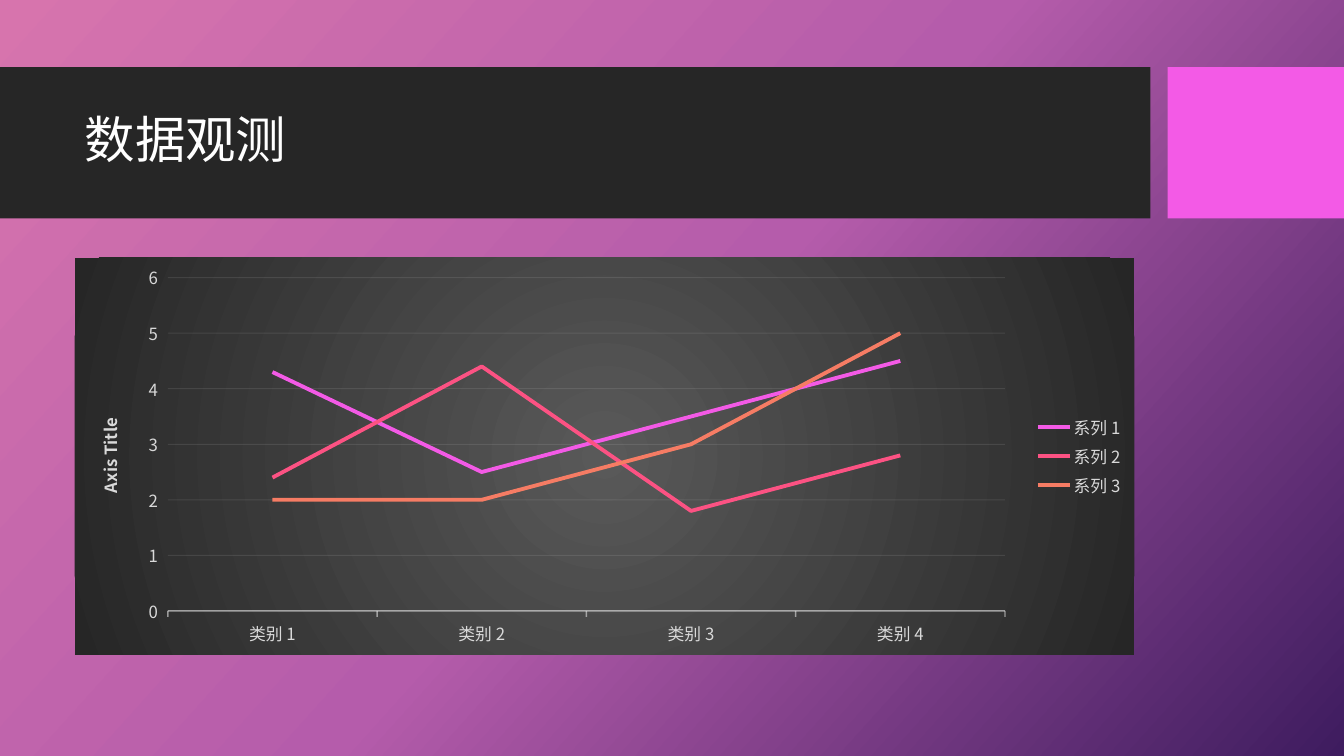
from lxml.etree import SubElement
from pptx import Presentation
from pptx.chart.data import CategoryChartData
from pptx.dml.color import RGBColor
from pptx.enum.chart import XL_CHART_TYPE, XL_LEGEND_POSITION, XL_TICK_MARK
from pptx.enum.shapes import MSO_SHAPE
from pptx.enum.text import MSO_ANCHOR, PP_ALIGN
from pptx.oxml import parse_xml
from pptx.oxml.ns import nsdecls, qn
from pptx.util import Inches, Pt

SLIDE_W, SLIDE_H = Inches(13.33), Inches(7.5)
FONT = "Noto Sans CJK SC"
COLORS = {
    "white": "FFFFFF", "band": "262626", "accent": "F35AE6",
    "label": "D9D9D9", "rule": "F2F2F2", "glow": "595959",
    "sky_start": "D774AD", "sky_middle": "B55CAB", "sky_end": "3E1C5F",
}
CATEGORIES = ["类别 1", "类别 2", "类别 3", "类别 4"]
SERIES = [
    ("系列 1", (4.3, 2.5, 3.5, 4.5), "F35AE6"),
    ("系列 2", (2.4, 4.4, 1.8, 2.8), "FC5283"),
    ("系列 3", (2, 2, 3, 5), "F67C64"),
]
BAND_TOP, BAND_HEIGHT = 0.089, 0.2
CONTENT_LEFT, CONTENT_WIDTH = 0.0555, 0.7885


def box(left, top, width, height):
    return (round(SLIDE_W * left), round(SLIDE_H * top),
            round(SLIDE_W * width), round(SLIDE_H * height))


def rgb(name):
    return RGBColor.from_string(COLORS[name])


def style_font(font, size, color, bold=False):
    font.size, font.bold, font.name = Pt(size), bold, FONT
    font.color.rgb = rgb(color)
    east_asian = parse_xml(f'<a:ea {nsdecls("a")} typeface="{FONT}"/>')
    font._rPr.find(qn("a:latin")).addnext(east_asian)


def gradient(stops, direction):
    marks = "".join(
        f'<a:gs pos="{share * 1000}"><a:srgbClr val="{COLORS[name]}"/></a:gs>'
        for share, name in stops)
    return (f'<a:gradFill {nsdecls("a")} rotWithShape="1">'
            f'<a:gsLst>{marks}</a:gsLst>{direction}</a:gradFill>')


def paint_background(slide):
    slide.background.fill.solid()
    plain = slide._element.xpath(".//p:bgPr/a:solidFill")[0]
    sky = gradient([(0, "sky_start"), (50, "sky_middle"), (100, "sky_end")],
                   f'<a:lin ang="{42 * 60000}" scaled="0"/>')
    plain.getparent().replace(plain, parse_xml(sky))


def add_band(slide, left, width, color):
    band = slide.shapes.add_shape(
        MSO_SHAPE.RECTANGLE, *box(left, BAND_TOP, width, BAND_HEIGHT))
    band.shadow.inherit = False
    band.fill.solid()
    band.fill.fore_color.rgb = rgb(color)
    band.line.fill.background()


def write_title(slide, text):
    title = slide.shapes.title
    title.left, title.top, title.width, title.height = box(
        CONTENT_LEFT, 0.109, CONTENT_WIDTH, 0.157)
    slide.shapes._spTree.append(title._element)
    title.text_frame.vertical_anchor = MSO_ANCHOR.MIDDLE
    paragraph = title.text_frame.paragraphs[0]
    paragraph.alignment, paragraph.line_spacing = PP_ALIGN.LEFT, 0.9
    run = paragraph.add_run()
    run.text = text
    style_font(run.font, 36, "white")


def style_rule(line, width, opacity):
    line.width = Pt(width)
    line.color.rgb = rgb("rule")
    tint = line._ln.find(".//" + qn("a:srgbClr"))
    SubElement(tint, qn("a:alpha"), val=str(opacity * 1000))


def style_axes(chart):
    for axis in (chart.category_axis, chart.value_axis):
        axis.major_tick_mark = XL_TICK_MARK.OUTSIDE
        axis.minor_tick_mark = XL_TICK_MARK.NONE
        style_font(axis.tick_labels.font, 12, "label")
    style_rule(chart.category_axis.format.line, 1, 54)
    values = chart.value_axis
    values.minimum_scale, values.maximum_scale, values.major_unit = 0, 6, 1
    values.format.line.fill.background()
    values.has_major_gridlines = True
    style_rule(values.major_gridlines.format.line, 0.75, 10)
    caption = values.axis_title.text_frame
    caption._txBody.bodyPr.set("rot", str(-90 * 60000))
    caption._txBody.bodyPr.set("vert", "horz")
    run = caption.paragraphs[0].add_run()
    run.text = "Axis Title"
    style_font(run.font, 12, "label", bold=True)


def paint_chart_area(chart):
    glow = gradient(
        [(0, "glow"), (100, "band")],
        '<a:path path="circle">'
        '<a:fillToRect l="50000" t="50000" r="50000" b="50000"/></a:path>')
    area = parse_xml(f'<c:spPr {nsdecls("c", "a")}>{glow}'
                     '<a:ln><a:noFill/></a:ln></c:spPr>')
    chart._chartSpace.find(qn("c:chart")).addnext(area)


def place_plot(chart, **shares):
    plot_area = chart._chartSpace.find(".//" + qn("c:plotArea"))
    for layout in plot_area.findall(qn("c:layout")):
        plot_area.remove(layout)
    settings = {"layoutTarget": "inner", "xMode": "edge", "yMode": "edge", **shares}
    entries = "".join(f'<c:{key} val="{value}"/>' for key, value in settings.items())
    plot_area.insert(0, parse_xml(
        f'<c:layout {nsdecls("c")}><c:manualLayout>{entries}'
        '</c:manualLayout></c:layout>'))


def add_line_chart(slide):
    data = CategoryChartData()
    data.categories = CATEGORIES
    for name, values, _ in SERIES:
        data.add_series(name, values)
    chart = slide.shapes.add_chart(
        XL_CHART_TYPE.LINE, *box(CONTENT_LEFT, 0.341, CONTENT_WIDTH, 0.525),
        data).chart
    chart.has_title = False
    style_font(chart.font, 10, "white")
    chart.plots[0].vary_by_categories = False
    for series, (_, _, color) in zip(chart.plots[0].series, SERIES):
        series.smooth = False
        series.format.line.width = Pt(2.75)
        series.format.line.color.rgb = RGBColor.from_string(color)
    style_axes(chart)
    chart.has_legend = True
    chart.legend.position = XL_LEGEND_POSITION.RIGHT
    chart.legend.include_in_layout = False
    style_font(chart.legend.font, 12, "label")
    paint_chart_area(chart)
    place_plot(chart, x=0.088, y=0.05, w=0.79, h=0.84)


def main():
    deck = Presentation()
    deck.slide_width, deck.slide_height = SLIDE_W, SLIDE_H
    slide = deck.slides.add_slide(deck.slide_layouts[5])
    paint_background(slide)
    add_band(slide, 0, 0.856, "band")
    add_band(slide, 0.8687, 0.1313, "accent")
    write_title(slide, "数据观测")
    add_line_chart(slide)
    deck.save("out.pptx")


if __name__ == "__main__":
    main()
